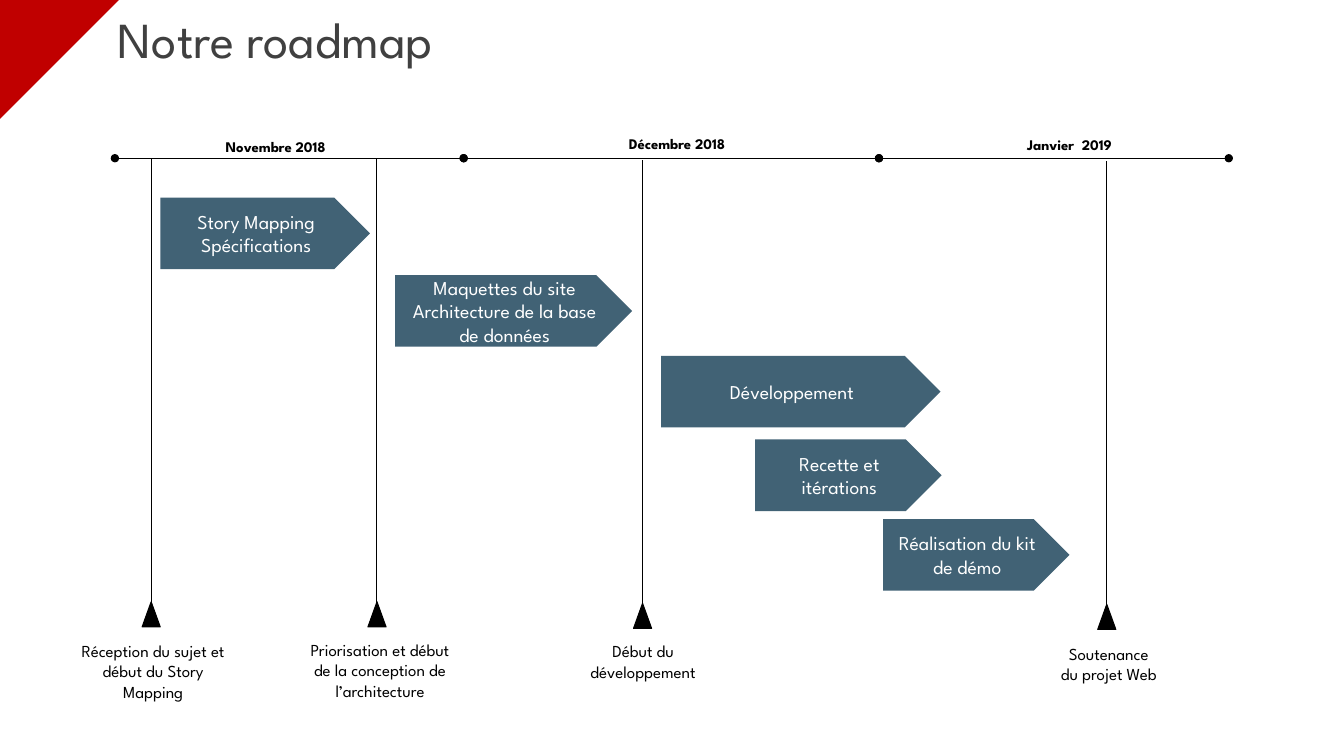
"""Build the project roadmap slide: month axis, phases and milestones."""
from dataclasses import dataclass
from itertools import pairwise

import pptx
import pptx.dml.color
import pptx.enum.shapes
import pptx.enum.text
import pptx.oxml
import pptx.oxml.ns
import pptx.util

SHAPE = pptx.enum.shapes.MSO_SHAPE
ALIGN = pptx.enum.text.PP_ALIGN
ANCHOR = pptx.enum.text.MSO_ANCHOR
WIDTH = pptx.util.Inches(13.333)
HEIGHT = pptx.util.Inches(7.5)


@dataclass(frozen=True)
class Theme:
    font: str = "League Spartan"
    ink: str = "000000"
    title_ink: str = "404040"
    corner: str = "C00000"
    phase: str = "416275"
    phase_ink: str = "FFFFFF"
    title_size: float = 36
    phase_size: float = 14
    caption_size: float = 12
    month_size: float = 10.5
    line_width: float = 0.75


@dataclass(frozen=True)
class Box:
    left: float
    top: float
    width: float
    height: float

    def lengths(self) -> tuple:
        return across(self.left), down(self.top), across(self.width), down(self.height)


@dataclass(frozen=True)
class Label:
    text: str
    box: Box


@dataclass(frozen=True)
class Milestone:
    center: float
    shift: float
    caption: Label


THEME = Theme()
AXIS = 20.93
AXIS_NODES = (8.55, 34.5, 65.4, 91.43)
MARKER_TOP, MARKER_WIDTH, MARKER_HEIGHT = 79.6, 1.35, 3.33
PHASE_HEIGHT = 9.47

MONTHS = (
    Label("Novembre 2018", Box(16.2, 17.2, 10.73, 2.93)),
    Label("Décembre 2018", Box(46.2, 16.8, 11.48, 2.4)),
    Label("Janvier  2019", Box(75.83, 16.93, 9.53, 2.93)),
)
PHASES = (
    Label("Story Mapping\nSpécifications", Box(11.93, 26.13, 15.6, PHASE_HEIGHT)),
    Label("Maquettes du site\nArchitecture de la base de données", Box(29.4, 36.4, 17.63, PHASE_HEIGHT)),
    Label("Développement", Box(49.2, 47.07, 20.78, PHASE_HEIGHT)),
    Label("Recette et itérations", Box(56.18, 58.13, 13.88, PHASE_HEIGHT)),
    Label("Réalisation du kit de démo", Box(65.7, 68.67, 13.88, PHASE_HEIGHT)),
)
MILESTONES = (
    Milestone(11.25, 0, Label("Réception du sujet et début du Story Mapping", Box(5.25, 83.73, 12.3, 9.47))),
    Milestone(28.05, 0, Label("Priorisation et début de la conception de l’architecture", Box(21.98, 83.6, 12.6, 9.07))),
    Milestone(47.81, 0.2, Label("Début du développement", Box(42.08, 83.73, 11.55, 8.93))),
    Milestone(82.35, 0.33, Label("Soutenance du projet Web", Box(78.15, 84.13, 8.7, 6.93))),
)


def across(share: float) -> int:
    """Turn a percentage of the slide width into a length."""
    return round(WIDTH * share / 100)


def down(share: float) -> int:
    """Turn a percentage of the slide height into a length."""
    return round(HEIGHT * share / 100)


def color(code: str) -> pptx.dml.color.RGBColor:
    """Read a hexadecimal colour."""
    return pptx.dml.color.RGBColor.from_string(code)


def write(frame, text: str, *, size: float, ink: str = THEME.ink, bold: bool = False,
          align=ALIGN.CENTER, anchor=ANCHOR.TOP, inset: float | None = None,
          spacing: float | None = None) -> None:
    """Fill a text frame, one paragraph for each line of text."""
    frame.text = text
    frame.word_wrap = True
    frame.auto_size = pptx.enum.text.MSO_AUTO_SIZE.NONE
    frame.vertical_anchor = anchor
    if inset is not None:
        frame.margin_left = frame.margin_right = pptx.util.Inches(inset)
        frame.margin_top = frame.margin_bottom = pptx.util.Inches(inset)
    for paragraph in frame.paragraphs:
        paragraph.alignment = align
        paragraph.line_spacing = spacing
        for run in paragraph.runs:
            run.font.name = THEME.font
            run.font.size = pptx.util.Pt(size)
            run.font.bold = bold
            run.font.color.rgb = color(ink)


def add_solid(shapes, kind, box: Box, fill: str, outlined: bool = False):
    """Add a flat preset shape, with or without a thin outline."""
    shape = shapes.add_shape(kind, *box.lengths())
    shape.shadow.inherit = False
    shape.fill.solid()
    shape.fill.fore_color.rgb = color(fill)
    if outlined:
        shape.line.color.rgb = color(fill)
        shape.line.width = pptx.util.Pt(THEME.line_width)
    else:
        shape.line.fill.background()
    return shape


def add_line(shapes, start: tuple[float, float], end: tuple[float, float], dots: bool = False) -> None:
    """Add a thin straight line, optionally with a dot at each end."""
    line = shapes.add_connector(pptx.enum.shapes.MSO_CONNECTOR.STRAIGHT,
                                across(start[0]), down(start[1]), across(end[0]), down(end[1]))
    line.line.color.rgb = color(THEME.ink)
    line.line.width = pptx.util.Pt(THEME.line_width)
    properties = line._element.spPr
    if dots:
        outline = properties.find(pptx.oxml.ns.qn("a:ln"))
        for tag in ("headEnd", "tailEnd"):
            dot = pptx.oxml.parse_xml(f'<a:{tag} {pptx.oxml.ns.nsdecls("a")} type="oval"/>')
            outline.append(dot)
    properties.append(pptx.oxml.parse_xml(f'<a:effectLst {pptx.oxml.ns.nsdecls("a")}/>'))


def add_label(shapes, label: Label, **text_format) -> None:
    """Add a text box with small insets."""
    text_box = shapes.add_textbox(*label.box.lengths())
    write(text_box.text_frame, label.text, inset=0.08, **text_format)


def add_milestone(shapes, milestone: Milestone) -> None:
    """Add a grouped marker and drop line, with its caption below."""
    group = shapes.add_group_shape()
    top = MARKER_TOP + milestone.shift
    marker = Box(milestone.center - MARKER_WIDTH / 2, top, MARKER_WIDTH, MARKER_HEIGHT)
    add_solid(group.shapes, SHAPE.ISOSCELES_TRIANGLE, marker, THEME.ink, outlined=True)
    add_line(group.shapes, (milestone.center, top), (milestone.center, AXIS + milestone.shift))
    add_label(shapes, milestone.caption, size=THEME.caption_size)


def add_phase(shapes, phase: Label) -> None:
    """Add a phase arrow with centred text."""
    arrow = add_solid(shapes, SHAPE.PENTAGON, phase.box, THEME.phase)
    write(arrow.text_frame, phase.text, size=THEME.phase_size, ink=THEME.phase_ink, anchor=ANCHOR.MIDDLE)


def main() -> None:
    """Draw the roadmap and save it."""
    presentation = pptx.Presentation()
    presentation.slide_width, presentation.slide_height = WIDTH, HEIGHT
    slide = presentation.slides.add_slide(presentation.slide_layouts[5])
    shapes = slide.shapes

    corner = add_solid(shapes, SHAPE.RIGHT_TRIANGLE, Box(0, 0, 8.85, 15.73), THEME.corner)
    corner.rotation = 90

    title = shapes.title
    title.left, title.top, title.width, title.height = Box(8.03, 1.07, 78.83, 8.93).lengths()
    write(title.text_frame, "Notre roadmap", size=THEME.title_size, ink=THEME.title_ink,
          align=ALIGN.LEFT, anchor=ANCHOR.MIDDLE, spacing=0.9)

    for start, end in pairwise(AXIS_NODES):
        add_line(shapes, (start, AXIS), (end, AXIS), dots=True)
    for month in MONTHS:
        add_label(shapes, month, size=THEME.month_size, bold=True, align=ALIGN.LEFT)
    for milestone in MILESTONES:
        add_milestone(shapes, milestone)
    for phase in PHASES:
        add_phase(shapes, phase)

    presentation.save("out.pptx")


if __name__ == "__main__":
    main()
